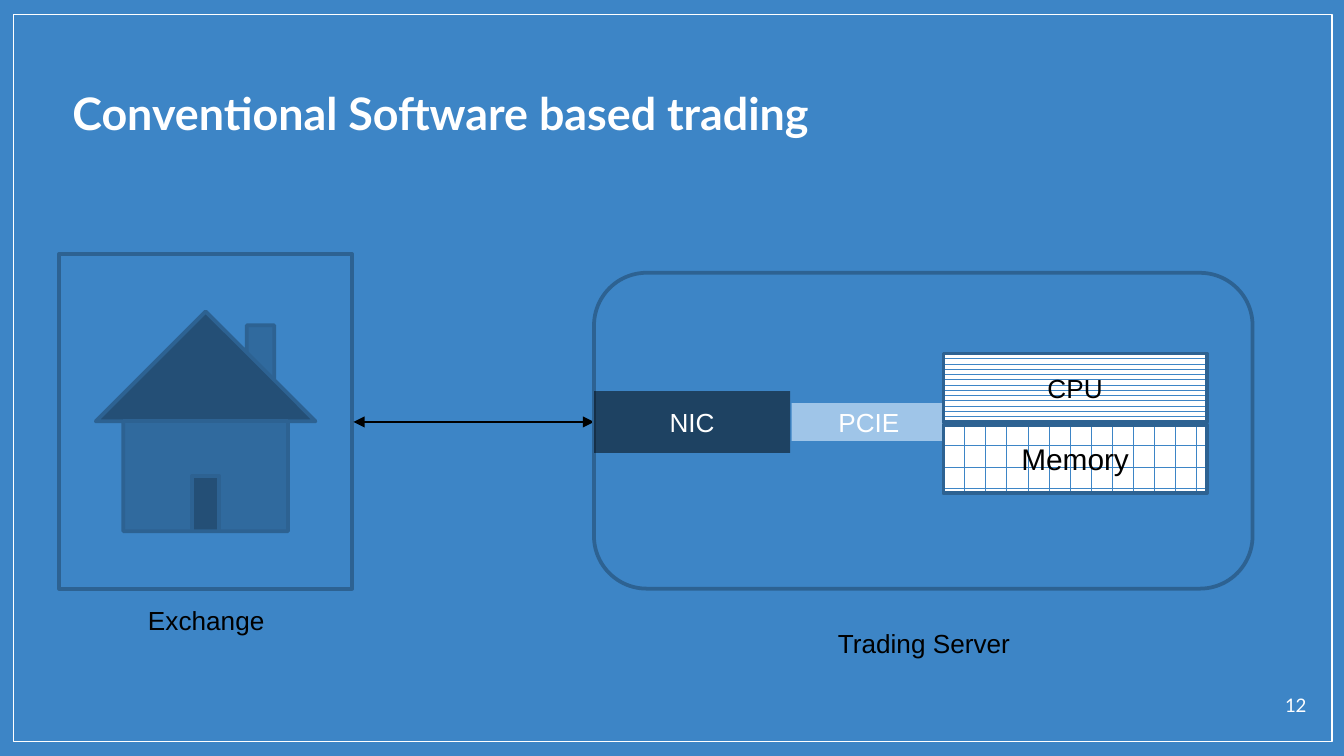
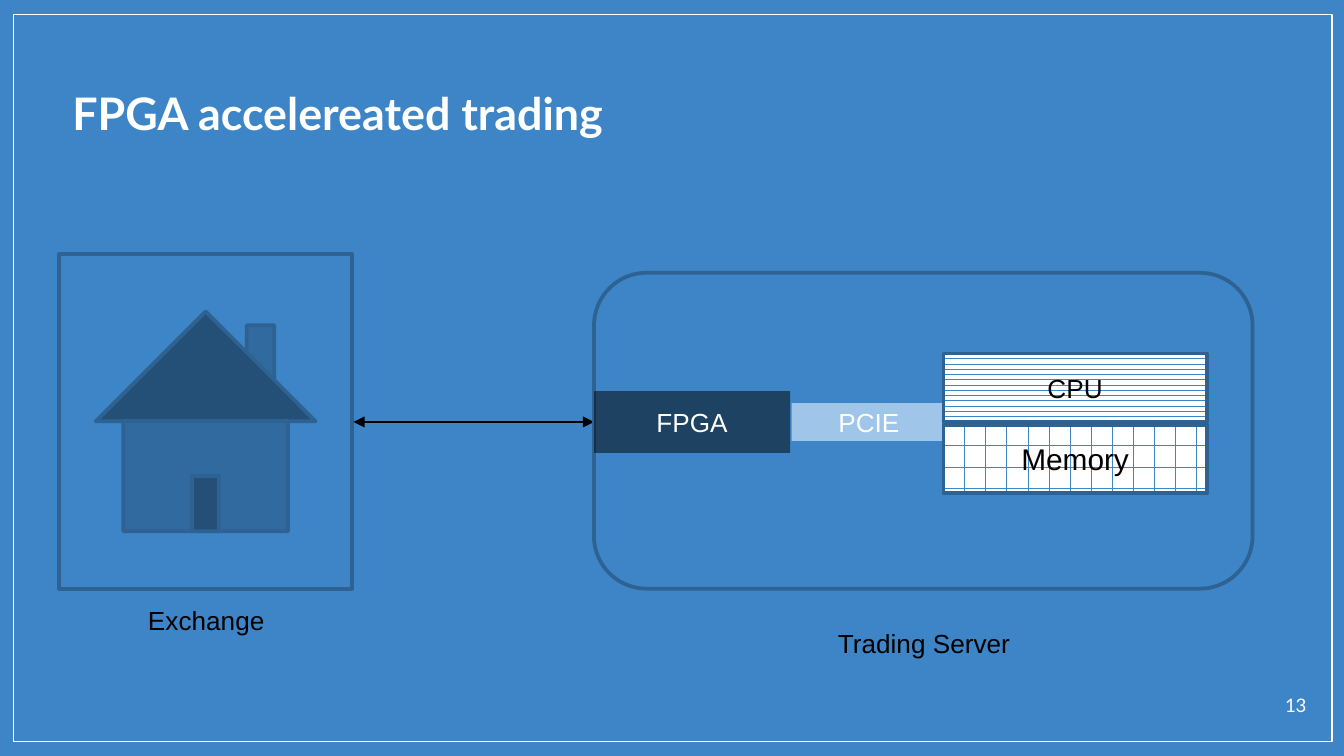
"""Build two slides comparing conventional and FPGA accelerated trading."""
from lxml import etree
from pptx import Presentation
from pptx.dml.color import RGBColor
from pptx.enum.dml import MSO_PATTERN
from pptx.enum.shapes import MSO_CONNECTOR, MSO_SHAPE
from pptx.enum.text import MSO_ANCHOR, PP_ALIGN
from pptx.oxml.ns import qn
from pptx.util import Inches, Pt

RECTANGLE = MSO_SHAPE.RECTANGLE
ROUNDED = MSO_SHAPE.ROUNDED_RECTANGLE
HOME = MSO_SHAPE.ACTION_BUTTON_HOME
STRAIGHT = MSO_CONNECTOR.STRAIGHT
WAVE = MSO_PATTERN.WAVE
DOTTED_GRID = MSO_PATTERN.DOTTED_GRID
TOP, MIDDLE = MSO_ANCHOR.TOP, MSO_ANCHOR.MIDDLE
LEFT, CENTER, RIGHT = PP_ALIGN.LEFT, PP_ALIGN.CENTER, PP_ALIGN.RIGHT

COLORS = {
    "blue": "3D85C6",
    "outline": "2D6292",
    "pale": "9FC5E8",
    "white": "FFFFFF",
    "black": "000000",
}
RGB = {name: RGBColor.from_string(value) for name, value in COLORS.items()}

SLIDES = [
    ("Conventional Software based trading", "12", "NIC"),
    ("FPGA accelereated trading", "13", "FPGA"),
]
CAPTIONS = [("Trading Server", 5.55, 4.62), ("Exchange", 0.21, 4.45)]
PROCESSING = [("CPU", 2.63, 14, WAVE), ("Memory", 3.16, 16, DOTTED_GRID)]


def add_block(slide, kind, box, fill=None, line=None, width=2):
    shape = slide.shapes.add_shape(kind, *map(Inches, box))
    shape.shadow.inherit = False
    if fill:
        shape.fill.solid()
        shape.fill.fore_color.rgb = RGB[fill]
    else:
        shape.fill.background()
    if line:
        shape.line.color.rgb = RGB[line]
        shape.line.width = Pt(width)
    else:
        shape.line.fill.background()
    return shape


def write(shape, text, size, color, font="Arial", align=CENTER, anchor=MIDDLE, bold=False):
    frame = shape.text_frame
    frame.word_wrap = True
    frame.vertical_anchor = anchor
    paragraph = frame.paragraphs[0]
    paragraph.text = text
    paragraph.alignment = align
    paragraph.font.name = font
    paragraph.font.size = Pt(size)
    paragraph.font.bold = bold
    paragraph.font.color.rgb = RGB[color]


presentation = Presentation()
presentation.slide_width = Inches(10)
presentation.slide_height = Inches(10 * 9 / 16)

for title, number, card in SLIDES:
    slide = presentation.slides.add_slide(presentation.slide_layouts[6])
    slide.background.fill.solid()
    slide.background.fill.fore_color.rgb = RGB["blue"]
    add_block(slide, RECTANGLE, (0.1, 0.11, 9.81, 5.41), line="white", width=0.75)

    for text, box, size, align, bold in [
        (title, (0.44, 0.54, 9, 0.45), 24, LEFT, True),
        (number, (9.32, 5.08, 0.5, 0.32), 10, RIGHT, False),
    ]:
        label = slide.shapes.add_textbox(*map(Inches, box))
        frame = label.text_frame
        frame.margin_left = frame.margin_right = Inches(0.1)
        frame.margin_top = frame.margin_bottom = Inches(0.1)
        write(label, text, size, "white", "Lato", align, TOP, bold)

    add_block(slide, HOME, (0.44, 1.89, 2.18, 2.49), "blue", "outline")

    arrow = slide.shapes.add_connector(
        STRAIGHT, Inches(2.63), Inches(3.14), Inches(4.42), Inches(3.14)
    )
    arrow.line.color.rgb = RGB["black"]
    arrow.line.width = Pt(0.75)
    outline = arrow.line._get_or_add_ln()
    for end in ("a:headEnd", "a:tailEnd"):
        etree.SubElement(outline, qn(end), type="triangle")
    etree.SubElement(arrow._element.spPr, qn("a:effectLst"))

    add_block(slide, ROUNDED, (4.42, 2.03, 4.9, 2.35), "blue", "outline")

    network_card = add_block(slide, RECTANGLE, (4.42, 2.91, 1.46, 0.46), "black")
    fill_color = network_card._element.spPr.find(qn("a:solidFill"))[0]
    etree.SubElement(fill_color, qn("a:alpha"), val="50000")
    write(network_card, card, 14, "white")

    bus = add_block(slide, RECTANGLE, (5.89, 3, 1.15, 0.28), "pale")
    write(bus, "PCIE", 14, "white")

    for text, top, size, pattern in PROCESSING:
        unit = add_block(slide, RECTANGLE, (7.02, top, 1.96, 0.51), line="outline")
        unit.fill.patterned()
        unit.fill.pattern = pattern
        unit.fill.fore_color.rgb = RGB["blue"]
        unit.fill.back_color.rgb = RGB["white"]
        write(unit, text, size, "black")

    for text, left, top in CAPTIONS:
        caption = slide.shapes.add_textbox(
            Inches(left), Inches(top), Inches(2.65), Inches(0.34)
        )
        write(caption, text, 14, "black", anchor=TOP)

presentation.save("out.pptx")
